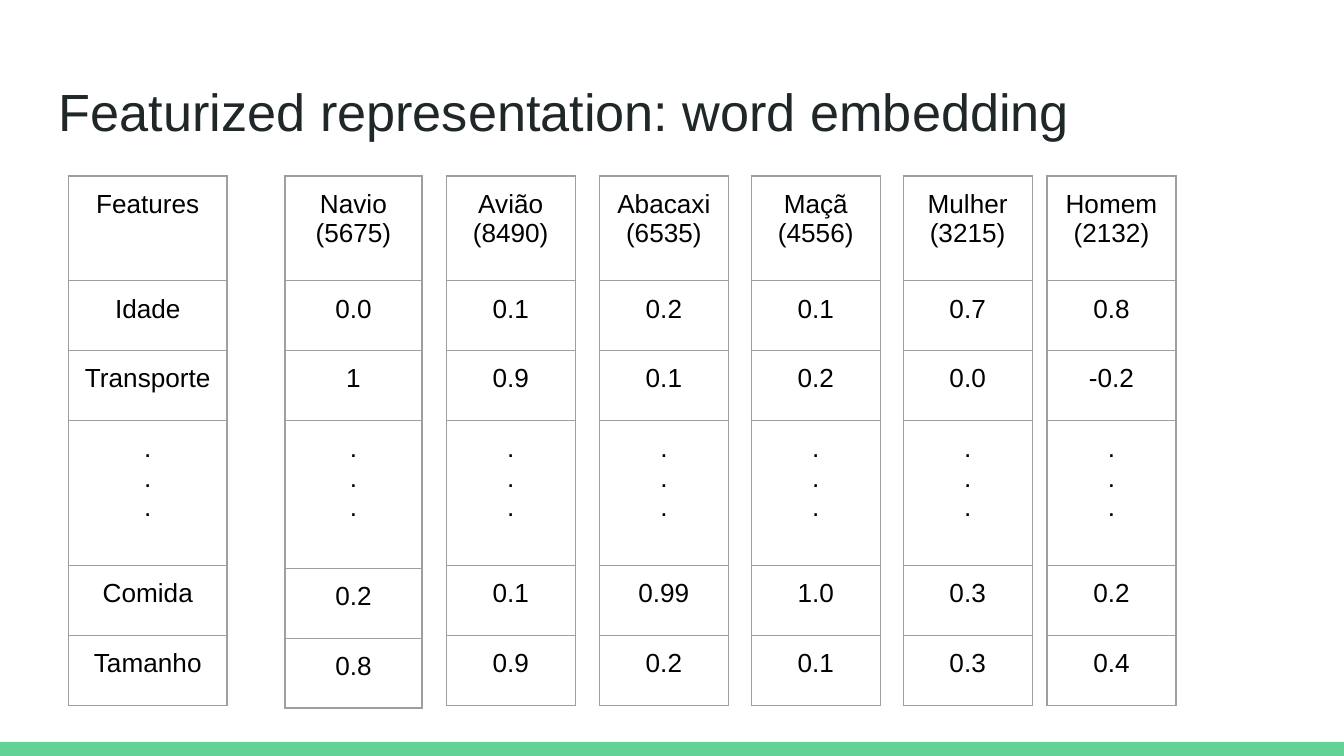
from lxml import etree
from pptx import Presentation
from pptx.dml.color import RGBColor
from pptx.enum.shapes import MSO_SHAPE as Shape
from pptx.enum.text import PP_ALIGN as Align
from pptx.oxml.ns import qn
from pptx.util import Inches, Pt

# Content
TITLE = "Featurized representation: word embedding"
DOTS = ".\n.\n."
# left, column width, height of the dots row, cells from top to bottom
TABLES = [
    (2.12, 1.02, 1.1, ["Navio\n(5675)", "0.0", "1", DOTS, "0.2", "0.8"]),
    (3.32, 0.96, 1.08, ["Avião\n(8490)", "0.1", "0.9", DOTS, "0.1", "0.9"]),
    (0.51, 1.18, 1.08, ["Features", "Idade", "Transporte", DOTS, "Comida", "Tamanho"]),
    (4.46, 0.96, 1.08, ["Abacaxi\n(6535)", "0.2", "0.1", DOTS, "0.99", "0.2"]),
    (5.59, 0.96, 1.08, ["Maçã\n(4556)", "0.1", "0.2", DOTS, "1.0", "0.1"]),
    (6.72, 0.96, 1.08, ["Mulher\n(3215)", "0.7", "0.0", DOTS, "0.3", "0.3"]),
    (7.79, 0.96, 1.08, ["Homem\n(2132)", "0.8", "-0.2", DOTS, "0.2", "0.4"]),
]
TABLE_TOP, FRAME_SIZE = 1.31, 3.28
HEADER_HEIGHT, ROW_HEIGHT = 0.78, 0.52
COLORS = {"bar": "63D297", "title": "202729", "text": "000000", "border": "9E9E9E"}
FONT = "Arial"
MARGIN = Inches(0.1)


def color(name):
    return RGBColor.from_string(COLORS[name])


def set_margins(box):
    box.margin_left = box.margin_right = MARGIN
    box.margin_top = box.margin_bottom = MARGIN


def style_text(text_frame, size, color_name, align):
    for paragraph in text_frame.paragraphs:
        paragraph.alignment = align
        for run in paragraph.runs:
            run.font.name = FONT
            run.font.size = Pt(size)
            run.font.color.rgb = color(color_name)


def add_borders(cell):
    properties = cell._tc.get_or_add_tcPr()
    for position, side in enumerate(("a:lnL", "a:lnR", "a:lnT", "a:lnB")):
        line = etree.Element(qn(side), w=str(Pt(0.75)))
        fill = etree.SubElement(line, qn("a:solidFill"))
        etree.SubElement(fill, qn("a:srgbClr"), val=COLORS["border"])
        properties.insert(position, line)


def add_word_table(slide, left, width, dots_height, texts):
    frame = slide.shapes.add_table(len(texts), 1, Inches(left), Inches(TABLE_TOP),
                                   Inches(FRAME_SIZE), Inches(FRAME_SIZE))
    table = frame.table
    table.first_row = table.horz_banding = False
    table.columns[0].width = Inches(width)
    heights = [HEADER_HEIGHT, ROW_HEIGHT, ROW_HEIGHT, dots_height, ROW_HEIGHT, ROW_HEIGHT]
    for row, height, text in zip(table.rows, heights, texts):
        row.height = Inches(height)
        cell = row.cells[0]
        set_margins(cell)
        cell.fill.background()
        add_borders(cell)
        cell.text_frame.text = text
        style_text(cell.text_frame, 14, "text", Align.CENTER)
    # The frame keeps its own size, apart from its rows and column
    frame.width = frame.height = Inches(FRAME_SIZE)


presentation = Presentation()
presentation.slide_width = Inches(10)
presentation.slide_height = Inches(10) * 9 // 16
slide = presentation.slides.add_slide(presentation.slide_layouts[6])

# Bottom bar
bar_top = Inches(5.52)
bar = slide.shapes.add_shape(Shape.RECTANGLE, 0, bar_top, presentation.slide_width,
                             presentation.slide_height - bar_top)
bar.shadow.inherit = False
bar.fill.solid()
bar.fill.fore_color.rgb = color("bar")
bar.line.fill.background()

# Title
title = slide.shapes.add_textbox(Inches(0.34), Inches(0.49), Inches(9.32), Inches(0.63))
title.text_frame.word_wrap = True
set_margins(title.text_frame)
title.text_frame.text = TITLE
style_text(title.text_frame, 28, "title", Align.LEFT)

# One table per word, plus the feature names
for entry in TABLES:
    add_word_table(slide, *entry)

presentation.save("out.pptx")
